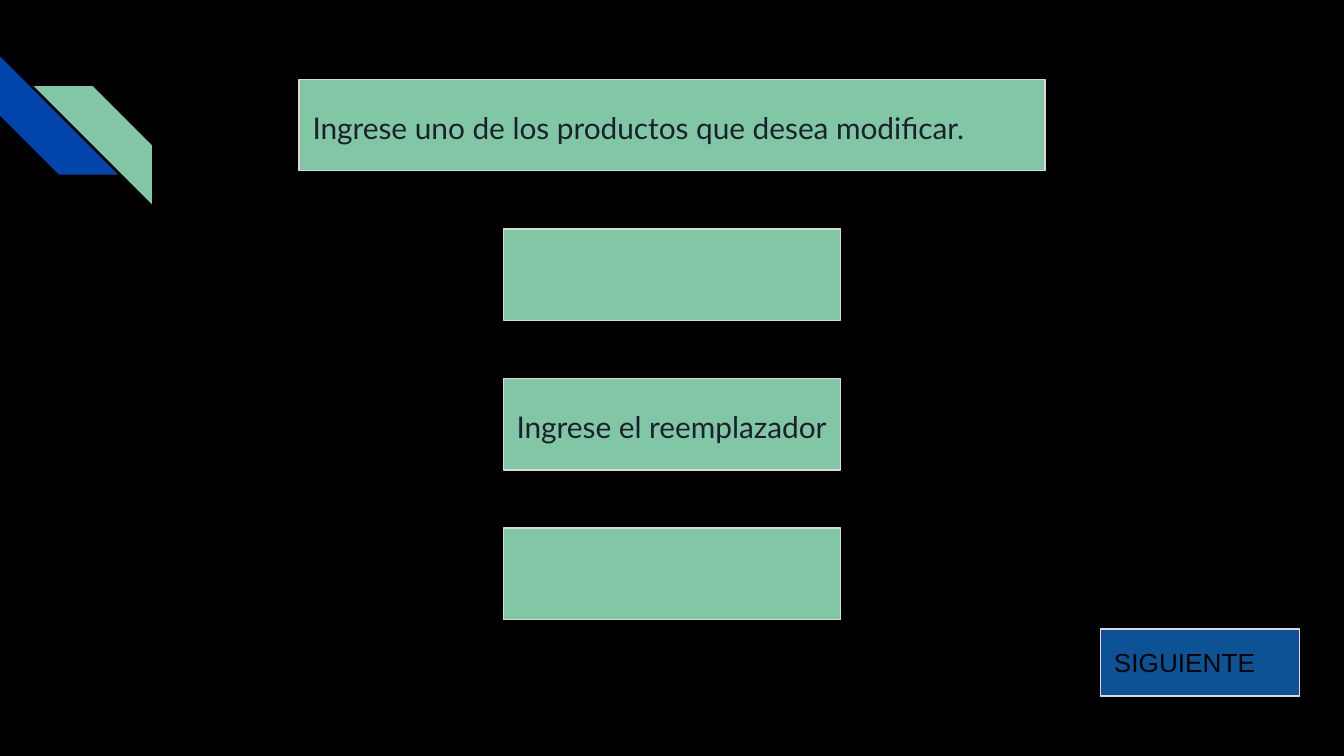
"""Build the product replacement form slide."""
from pptx import Presentation
from pptx.dml.color import RGBColor
from pptx.enum.shapes import MSO_SHAPE
from pptx.enum.text import MSO_ANCHOR, MSO_AUTO_SIZE, PP_ALIGN
from pptx.util import Inches, Pt

RECTANGLE = MSO_SHAPE.RECTANGLE
STRIPE = MSO_SHAPE.DIAGONAL_STRIPE
MIDDLE = MSO_ANCHOR.MIDDLE
LEFT = PP_ALIGN.LEFT
NO_FIT = MSO_AUTO_SIZE.NONE

BLACK = RGBColor(0x00, 0x00, 0x00)
GREEN = RGBColor(0x82, 0xC7, 0xA5)
BLUE = RGBColor(0x01, 0x45, 0xAC)
BUTTON_BLUE = RGBColor(0x0B, 0x53, 0x94)
BORDER = RGBColor(0xD9, 0xD9, 0xD9)
INK = RGBColor(0x1B, 0x21, 0x2C)

WIDTH = 10
HEIGHT = WIDTH * 9 / 16
FIRST_ROW, LAST_ROW, ROW_HEIGHT = 0.59, 3.93, 0.68
ROW_PITCH = (LAST_ROW - FIRST_ROW) / 3
TITLE_WIDTH, FIELD_WIDTH = 5.55, 2.51
STRIPE_SIZE = 0.88
INSET = Inches(0.1)

FRAME_FORMAT = {
    "word_wrap": True, "auto_size": NO_FIT, "vertical_anchor": MIDDLE,
    "margin_left": INSET, "margin_right": INSET,
    "margin_top": INSET, "margin_bottom": INSET,
}
PROMPT_PARA = {"alignment": LEFT, "line_spacing": 1.15, "space_after": Pt(12)}
PROMPT_FONT = {"name": "Lato", "size": Pt(16)}
BUTTON_PARA = {"alignment": LEFT}
BUTTON_FONT = {"name": "Arial", "size": Pt(14)}


def apply_format(target, values):
    """Set every attribute in values on target."""
    for name, value in values.items():
        setattr(target, name, value)


def row_area(row, width):
    """Return the centred area of a form row in inches."""
    return (WIDTH - width) / 2, FIRST_ROW + row * ROW_PITCH, width, ROW_HEIGHT


def place(shape, area):
    """Move and size a shape to an area in inches."""
    names = ("left", "top", "width", "height")
    apply_format(shape, dict(zip(names, map(Inches, area))))


def paint_box(shape, fill):
    """Give a box its fill and thin border."""
    shape.fill.solid()
    shape.fill.fore_color.rgb = fill
    shape.line.color.rgb = BORDER
    shape.line.width = Pt(0.75)


def add_box(page, area, fill):
    """Add a bordered rectangle."""
    box = page.shapes.add_shape(RECTANGLE, *map(Inches, area))
    box.shadow.inherit = False
    paint_box(box, fill)
    return box


def write_text(shape, text, color, para_format, font_format):
    """Write one formatted paragraph in a shape."""
    frame = shape.text_frame
    apply_format(frame, FRAME_FORMAT)
    para = frame.paragraphs[0]
    apply_format(para, para_format)
    span = para.add_run()
    span.text = text
    apply_format(span.font, font_format)
    span.font.color.rgb = color


def add_stripe(page, left, top, rotation, fill):
    """Add a turned diagonal stripe to the corner ornament."""
    area = (left, top, STRIPE_SIZE, STRIPE_SIZE)
    stripe = page.shapes.add_shape(STRIPE, *map(Inches, area))
    stripe.adjustments[0] = 0.5
    stripe.rotation = rotation
    stripe.shadow.inherit = False
    stripe.fill.solid()
    stripe.fill.fore_color.rgb = fill
    stripe.line.fill.background()


def main():
    """Build and save the slide."""
    deck = Presentation()
    deck.slide_width, deck.slide_height = Inches(WIDTH), Inches(HEIGHT)
    page = deck.slides.add_slide(deck.slide_layouts.get_by_name("Title Only"))
    page.background.fill.solid()
    page.background.fill.fore_color.rgb = BLACK

    add_stripe(page, 0, 0.42, 270, BLUE)
    add_stripe(page, 0.25, 0.64, 90, GREEN)

    title = page.shapes.title
    place(title, row_area(0, TITLE_WIDTH))
    paint_box(title, GREEN)
    write_text(title, "Ingrese uno de los productos que desea modificar.",
               INK, PROMPT_PARA, PROMPT_FONT)

    prompt = add_box(page, row_area(2, FIELD_WIDTH), GREEN)
    write_text(prompt, "Ingrese el reemplazador", INK, PROMPT_PARA, PROMPT_FONT)
    for row in (1, 3):
        add_box(page, row_area(row, FIELD_WIDTH), GREEN)

    button = add_box(page, (8.19, 4.68, 1.48, 0.5), BUTTON_BLUE)
    write_text(button, "SIGUIENTE", BLACK, BUTTON_PARA, BUTTON_FONT)
    deck.save("out.pptx")


if __name__ == "__main__":
    main()
